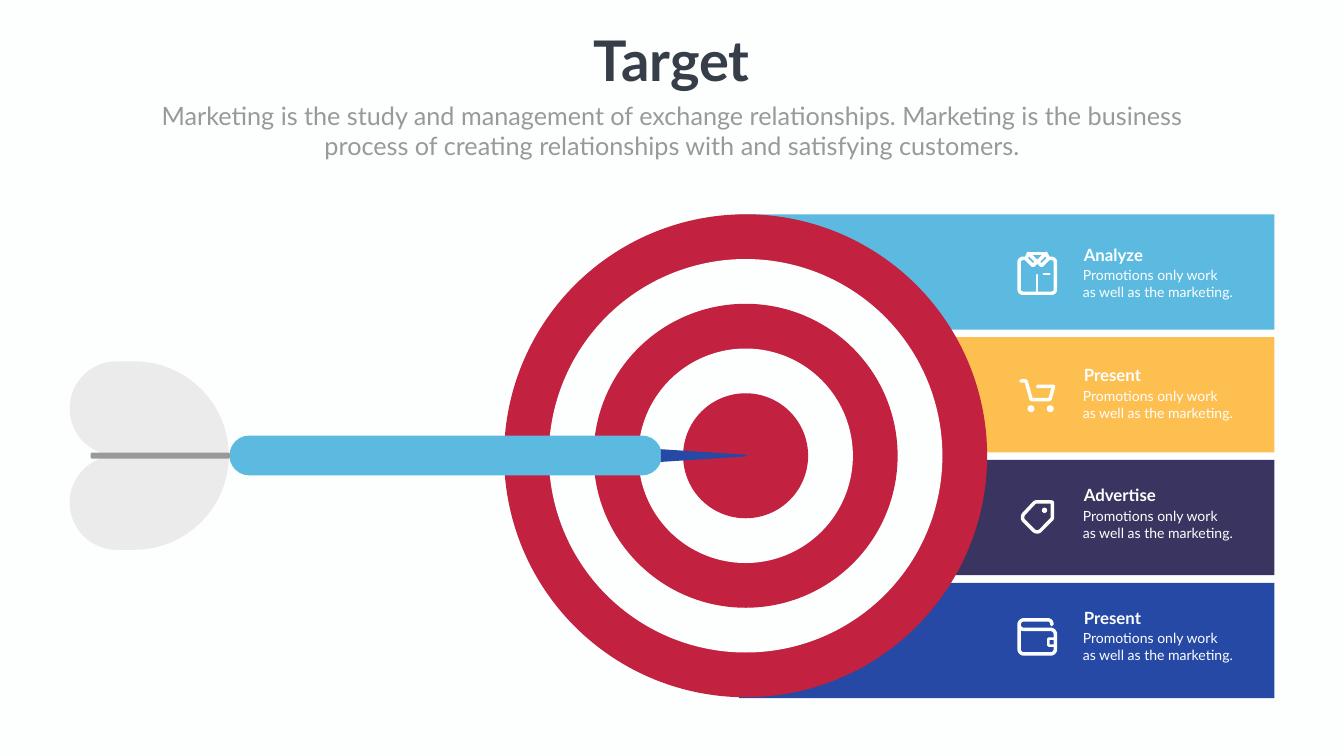
from lxml.etree import SubElement
from pptx import Presentation
from pptx.dml.color import RGBColor
from pptx.enum.shapes import MSO_CONNECTOR, MSO_SHAPE
from pptx.enum.text import MSO_ANCHOR, MSO_AUTO_SIZE, PP_ALIGN
from pptx.oxml.ns import qn
from pptx.util import Cm, Pt

PAPER = RGBColor(0xFD, 0xFF, 0xFE)
SKY = RGBColor(0x5C, 0xBA, 0xE1)
AMBER = RGBColor(0xFD, 0xBF, 0x50)
PLUM = RGBColor(0x3A, 0x35, 0x60)
BLUE = RGBColor(0x26, 0x49, 0xA6)
RED = RGBColor(0xC2, 0x21, 0x40)
FEATHER = RGBColor(0xEA, 0xEB, 0xEA)
GRAY = RGBColor(0x98, 0x99, 0x98)
INK = RGBColor(0x35, 0x3E, 0x49)

BOLD_LINE, FINE_LINE = 5, 3.6
BAND_TOP, BAND_PITCH, BAND_HEIGHT = 10.8, 6.19, 5.81
ICON_LEFT = 51.26
CENTER_X, CENTER_Y = 37.57, 22.97
AXIS_Y = 22.96


def round_corners(corners, closed, steps=16):
    """Turn (x, y, radius) corners into points, bending each corner by its radius."""
    points = []
    for i, (x, y, radius) in enumerate(corners):
        at_end = not closed and i in (0, len(corners) - 1)
        if at_end or not radius:
            points.append((x, y))
            continue
        tangents = []
        for nx, ny, _ in (corners[i - 1], corners[(i + 1) % len(corners)]):
            reach = radius / ((nx - x) ** 2 + (ny - y) ** 2) ** 0.5
            tangents.append((x + (nx - x) * reach, y + (ny - y) * reach))
        (ax, ay), (bx, by) = tangents
        bend = 0.55
        cx, cy = ax + (x - ax) * bend, ay + (y - ay) * bend
        dx, dy = bx + (x - bx) * bend, by + (y - by) * bend
        for step in range(steps + 1):
            t = step / steps
            u = 1 - t
            weights = (u ** 3, 3 * u * u * t, 3 * u * t * t, t ** 3)
            points.append((sum(w * v for w, v in zip(weights, (ax, cx, dx, bx))),
                           sum(w * v for w, v in zip(weights, (ay, cy, dy, by)))))
    return points


class TargetSlide:
    font = "Lato"

    def __init__(self, slide):
        self.slide = slide
        self.shapes = slide.shapes
        slide.background.fill.solid()
        slide.background.fill.fore_color.rgb = PAPER

    def paint(self, shape, fill=None, line_width=None):
        """Fill the shape, or outline it in the paper colour when a width is given."""
        shape.shadow.inherit = False
        if fill is None:
            shape.fill.background()
        else:
            shape.fill.solid()
            shape.fill.fore_color.rgb = fill
        if line_width is None:
            shape.line.fill.background()
        else:
            self.pen(shape.line, line_width)

    def pen(self, line, width):
        line.color.rgb = PAPER
        line.width = Pt(width)
        line._get_or_add_ln().set("cap", "rnd")

    def preset(self, kind, left, top, width, height, fill=None, rounding=None, line_width=None):
        shape = self.shapes.add_shape(kind, Cm(left), Cm(top), Cm(width), Cm(height))
        if rounding is not None:
            shape.adjustments[0] = rounding
        self.paint(shape, fill, line_width)

    def disc(self, x, y, diameter, fill):
        self.preset(MSO_SHAPE.OVAL, x - diameter / 2, y - diameter / 2, diameter, diameter, fill)

    def outline(self, corners, fill=None, line_width=None, closed=True, origin=(0, 0)):
        left, top = origin
        points = [(Cm(left + x), Cm(top + y)) for x, y in round_corners(corners, closed)]
        builder = self.shapes.build_freeform(*points[0])
        builder.add_line_segments(points[1:], close=closed)
        self.paint(builder.convert_to_shape(), fill, line_width)

    def segment(self, x1, y1, x2, y2, width, origin):
        left, top = origin
        connector = self.shapes.add_connector(
            MSO_CONNECTOR.STRAIGHT, Cm(left + x1), Cm(top + y1), Cm(left + x2), Cm(top + y2))
        self.pen(connector.line, width)
        SubElement(connector._element.spPr, qn("a:effectLst"))

    def set_text(self, frame, lines, size, color, bold=False, align=PP_ALIGN.LEFT, wrap=True):
        frame.word_wrap = wrap
        frame.auto_size = MSO_AUTO_SIZE.NONE
        frame.vertical_anchor = MSO_ANCHOR.TOP
        frame.text = "\n".join(lines)
        for paragraph in frame.paragraphs:
            paragraph.alignment = align
            paragraph.font.name = self.font
            paragraph.font.size = Pt(size)
            paragraph.font.bold = bold
            paragraph.font.color.rgb = color

    def title(self, text, left, top, width, height):
        title = self.shapes.title
        title.left, title.top, title.width, title.height = Cm(left), Cm(top), Cm(width), Cm(height)
        self.set_text(title.text_frame, [text], 80, INK, True, PP_ALIGN.CENTER, wrap=False)

    def text(self, lines, left, top, width, height, size, color, **style):
        box = self.shapes.add_textbox(Cm(left), Cm(top), Cm(width), Cm(height))
        self.set_text(box.text_frame, lines, size, color, **style)

    def shirt_icon(self, origin):
        body = [(0.41, 2.22, 0), (0.09, 2.22, 0.2), (0.09, 3.98, 0.2),
                (1.92, 3.98, 0.2), (1.92, 2.22, 0.2), (1.57, 2.22, 0)]
        collar = [(1.45, 1.97, 0), (1.02, 2.39, 0), (1.22, 2.59, 0), (1.57, 2.24, 0)]
        mirrored_collar = [(2.01 - x, y, radius) for x, y, radius in collar]
        self.outline(body, line_width=BOLD_LINE, closed=False, origin=origin)
        for flap in (collar, mirrored_collar):
            self.outline(flap, line_width=BOLD_LINE, origin=origin)
        self.segment(0.56, 1.97, 1.45, 1.97, BOLD_LINE, origin)
        self.segment(1.33, 3.01, 1.62, 3.01, FINE_LINE, origin)
        self.segment(1, 3.06, 1, 3.92, FINE_LINE, origin)

    def cart_icon(self, origin):
        basket = [(0.18, 2.21, 0), (0.44, 2.21, 0), (0.7, 3.15, 0.06),
                  (1.64, 3.15, 0.06), (1.83, 2.48, 0), (1.02, 2.48, 0)]
        self.outline(basket, line_width=BOLD_LINE, closed=False, origin=origin)
        for wheel_x in (0.69, 1.66):
            self.disc(origin[0] + wheel_x, origin[1] + 3.61, 0.35, PAPER)

    def tag_icon(self, origin):
        label = [(0.89, 2.12, 0.05), (1.77, 2.12, 0.05), (1.77, 2.95, 0.05),
                 (1, 3.73, 0.25), (0.16, 2.9, 0.25)]
        self.outline(label, line_width=BOLD_LINE, origin=origin)
        self.disc(origin[0] + 1.37, origin[1] + 2.54, 0.27, PAPER)

    def wallet_icon(self, origin):
        body = [(0.09, 2.14, 0), (0.09, 3.59, 0.25), (1.92, 3.59, 0.25), (1.92, 2.35, 0.25),
                (0.09, 2.35, 0.24), (0.09, 1.87, 0.24), (1.74, 1.87, 0.2), (1.74, 2.11, 0)]
        self.outline(body, line_width=BOLD_LINE, closed=False, origin=origin)
        self.preset(MSO_SHAPE.ROUNDED_RECTANGLE, origin[0] + 1.56, origin[1] + 2.81,
                    0.36, 0.36, rounding=0.15, line_width=FINE_LINE)

    def dart(self):
        feather = [(11.53, 0, 0), (11.53, 4.75, 4.75), (3.51, 4.75, 2.37), (3.51, 0, 2.37)]
        for side in (1, -1):
            self.outline([(x, side * y, radius) for x, y, radius in feather],
                         FEATHER, origin=(0, AXIS_Y))
        self.preset(MSO_SHAPE.ROUNDED_RECTANGLE, 11.56, 21.95, 21.79, 2.01, SKY, 0.5)
        self.outline([(37.62, -0.04, 0), (33.3, -0.32, 0), (33.3, 0.32, 0), (37.62, 0.04, 0)],
                     BLUE, origin=(0, AXIS_Y))
        self.preset(MSO_SHAPE.ROUNDED_RECTANGLE, 4.57, 22.81, 7.01, 0.3, GRAY, 0.2)


def main():
    presentation = Presentation()
    presentation.slide_width, presentation.slide_height = Cm(67.72), Cm(38.1)
    target = TargetSlide(presentation.slides.add_slide(presentation.slide_layouts[5]))

    target.title("Target", 29.41, 1.17, 8.89, 3.68)
    target.text(["Marketing is the study and management of exchange relationships. "
                 "Marketing is the business process of creating relationships with "
                 "and satisfying customers."],
                7.42, 4.93, 52.88, 3.33, 36, GRAY, align=PP_ALIGN.CENTER)

    bands = [("Analyze", SKY, target.shirt_icon, 1.4),
             ("Present", AMBER, target.cart_icon, 1.27),
             ("Advertise", PLUM, target.tag_icon, 1.14),
             ("Present", BLUE, target.wallet_icon, 1.12)]
    for row, (heading, color, draw_icon, heading_offset) in enumerate(bands):
        top = BAND_TOP + row * BAND_PITCH
        target.preset(MSO_SHAPE.RECTANGLE, 37.24, top, 26.98, BAND_HEIGHT, color)
        draw_icon((ICON_LEFT, top))
        heading_top = top + heading_offset
        target.text([heading], 54.36, heading_top, 4.65, 1.27, 24, PAPER, bold=True)
        target.text(["Promotions only work", "as well as the marketing."],
                    54.31, heading_top + 1.13, 8.26, 1.96, 20, PAPER)

    for ring, color in enumerate((RED, PAPER, RED, PAPER, RED)):
        target.disc(CENTER_X, CENTER_Y, 24.34 - 4.51 * ring, color)
    target.dart()

    presentation.save("out.pptx")


if __name__ == "__main__":
    main()
